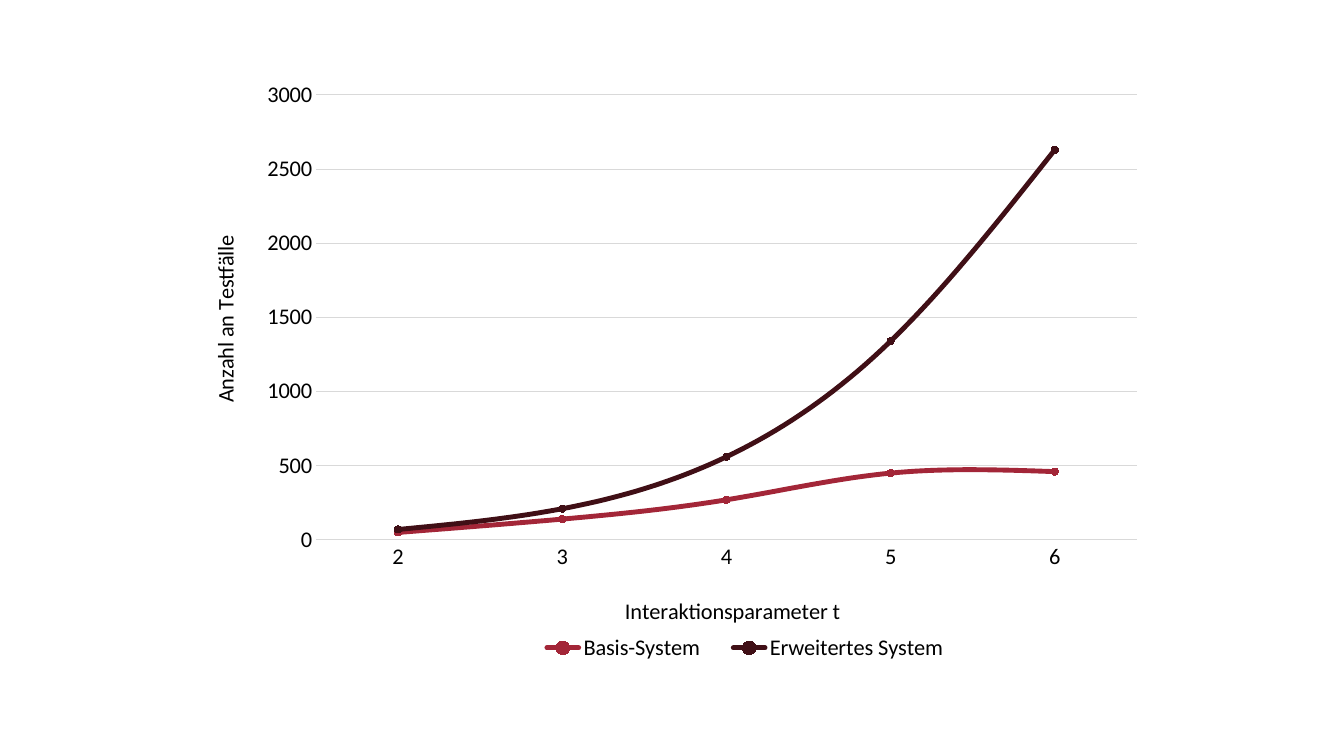
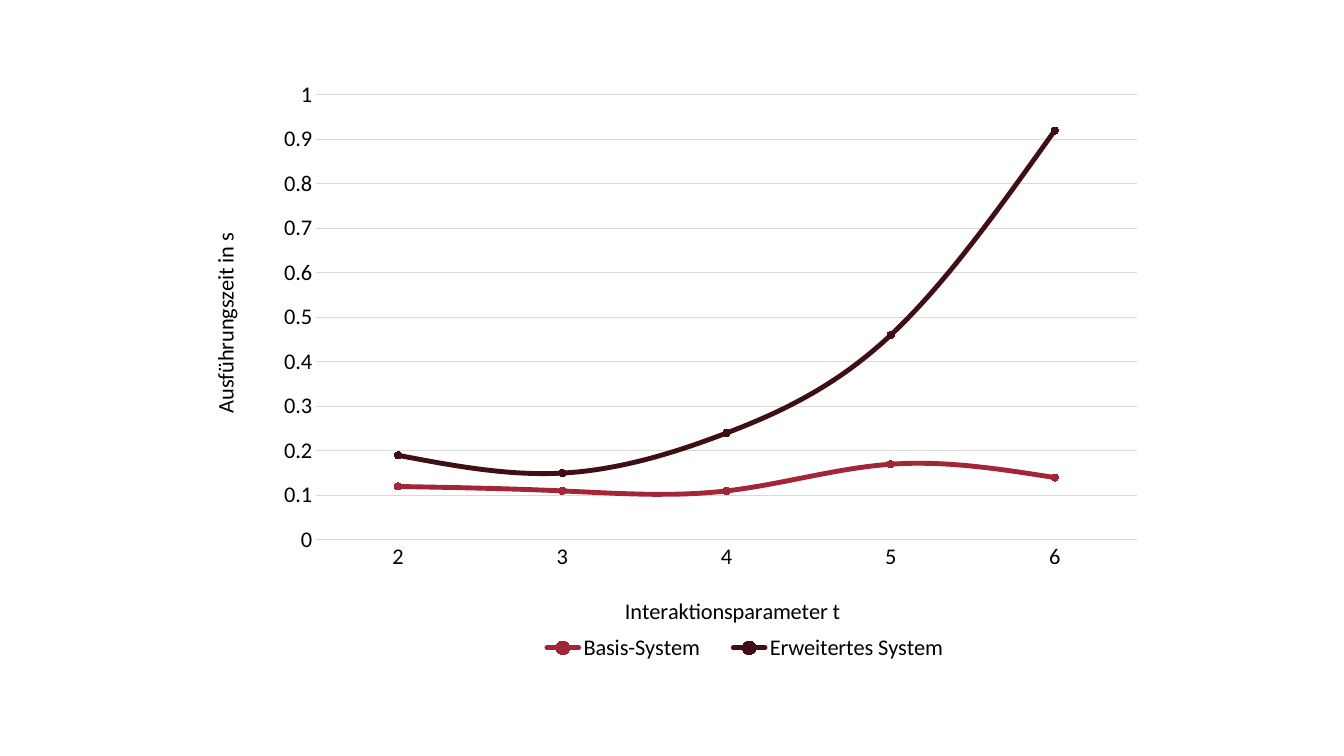
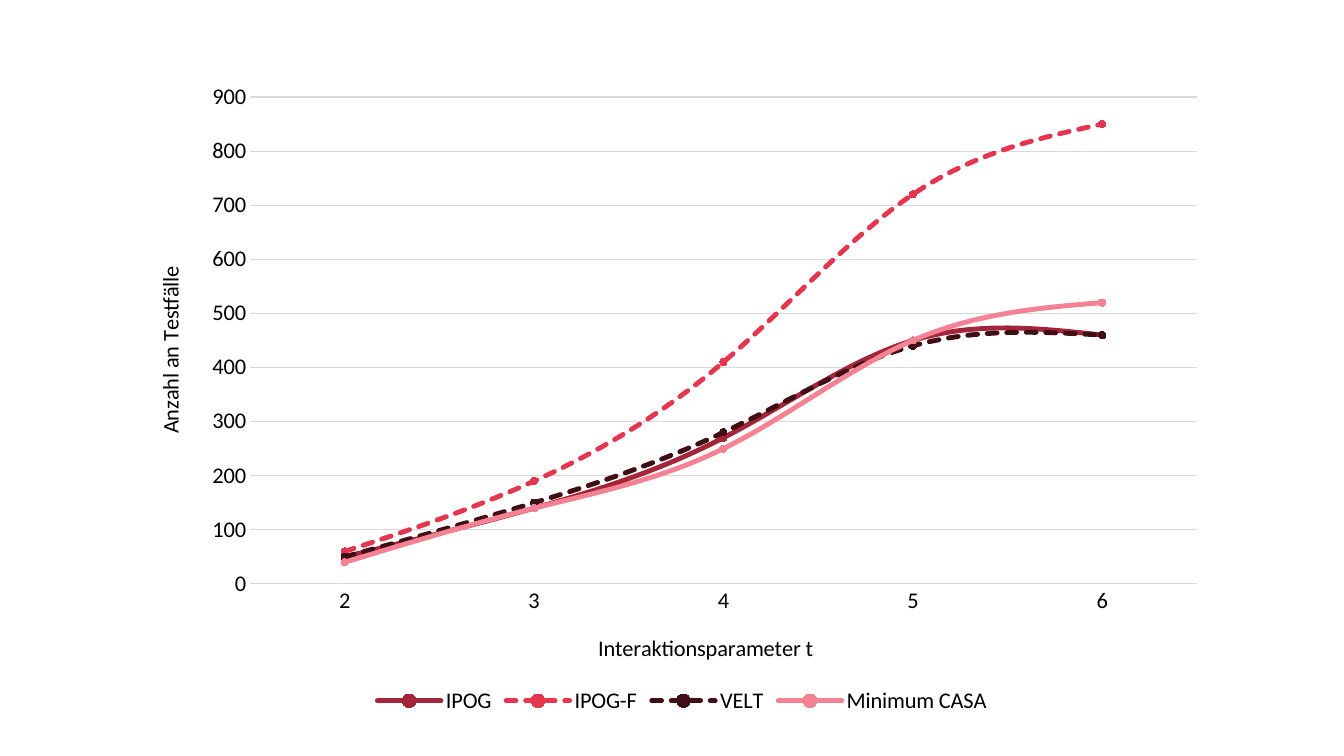
from lxml import etree
from pptx import Presentation
from pptx.chart.data import CategoryChartData
from pptx.dml.color import RGBColor
from pptx.enum.chart import XL_CHART_TYPE as ChartType
from pptx.enum.chart import XL_LEGEND_POSITION as LegendPosition
from pptx.enum.chart import XL_MARKER_STYLE as MarkerStyle
from pptx.enum.chart import XL_TICK_MARK as TickMark
from pptx.enum.dml import MSO_LINE as LineDash
from pptx.oxml.ns import qn
from pptx.util import Pt

EMU_PER_PIXEL = 914400 / 100.8
BLACK = RGBColor(0x00, 0x00, 0x00)
GRID_GREY = RGBColor(0xD9, 0xD9, 0xD9)
CRIMSON = RGBColor(0xA3, 0x26, 0x38)
MAROON = RGBColor(0x40, 0x0F, 0x16)
RED = RGBColor(0xE6, 0x35, 0x4F)
PINK = RGBColor(0xF4, 0x82, 0x93)


def set_font(font):
    """Apply the text style that all chart parts share."""
    font.name = "Calibri"
    font.size = Pt(16)
    font.bold = False
    font.color.rgb = BLACK


def set_layout(parent, index, chart_frame, box, target=None):
    """Place a chart part at a pixel box (left, top and, if given, width, height)."""
    for old_layout in parent.findall(qn("c:layout")):
        parent.remove(old_layout)
    layout = etree.Element(qn("c:layout"))
    parent.insert(index, layout)
    manual = etree.SubElement(layout, qn("c:manualLayout"))
    left, top, width, height = chart_frame
    settings = [("layoutTarget", target)] if target else []
    settings += [("xMode", "edge"), ("yMode", "edge")]
    fractions = ((box[0] - left) / width, (box[1] - top) / height,
                 *(length / total for length, total in zip(box[2:], (width, height))))
    settings += [(tag, f"{value:.4f}") for tag, value in zip("xywh", fractions)]
    for tag, value in settings:
        etree.SubElement(manual, qn(f"c:{tag}")).set("val", value)


SYSTEMS_LAYOUT = {
    "frame": (192, 72, 962, 612),
    "plot": (316, 95, 821, 445),
    "category_title": (621, 592),
    "legend": (521, 630, 448, 36),
}
charts = [
    {
        **SYSTEMS_LAYOUT,
        "value_title": ("Anzahl an Testfälle", (206, 231)),
        "scale": (3000, 500),
        "series": [
            ("Basis-System", (50, 140, 270, 450, 460), CRIMSON, None),
            ("Erweitertes System", (70, 210, 560, 1340, 2630), MAROON, None),
        ],
    },
    {
        **SYSTEMS_LAYOUT,
        "value_title": ("Ausführungszeit in s", (206, 229)),
        "scale": (1, 0.1),
        "series": [
            ("Basis-System", (0.12, 0.11, 0.11, 0.17, 0.14), CRIMSON, None),
            ("Erweitertes System", (0.19, 0.15, 0.24, 0.46, 0.92), MAROON, None),
        ],
    },
    {
        "frame": (149, 77, 1066, 642),
        "plot": (250, 97, 947, 487),
        "category_title": (594, 629),
        "legend": None,
        "value_title": ("Anzahl an Testfälle", (151, 262)),
        "scale": (900, 100),
        "series": [
            ("IPOG", (50, 140, 270, 450, 460), CRIMSON, None),
            ("IPOG-F", (60, 190, 410, 720, 850), RED, LineDash.SQUARE_DOT),
            ("VELT", (50, 150, 280, 440, 460), MAROON, LineDash.SQUARE_DOT),
            ("Minimum CASA", (40, 140, 250, 450, 520), PINK, None),
        ],
    },
]

presentation = Presentation()
presentation.slide_width = round(1344 * EMU_PER_PIXEL)
presentation.slide_height = round(756 * EMU_PER_PIXEL)
blank_layout = presentation.slide_layouts[6]

for details in charts:
    slide = presentation.slides.add_slide(blank_layout)
    frame = details["frame"]
    chart_data = CategoryChartData()
    chart_data.categories = ["2", "3", "4", "5", "6"]
    for name, values, _, _ in details["series"]:
        chart_data.add_series(name, values)
    chart = slide.shapes.add_chart(
        ChartType.LINE_MARKERS,
        *(round(length * EMU_PER_PIXEL) for length in frame), chart_data).chart
    set_font(chart.font)
    chart.has_title = False
    chart.has_legend = True
    chart.legend.position = LegendPosition.BOTTOM
    chart.legend.include_in_layout = False
    set_font(chart.legend.font)
    if details["legend"]:
        set_layout(chart.legend._element, 1, frame, details["legend"])

    category_axis, value_axis = chart.category_axis, chart.value_axis
    value_text, value_place = details["value_title"]
    for axis, text, place, rotation in (
            (category_axis, "Interaktionsparameter t", details["category_title"], 0),
            (value_axis, value_text, value_place, -5400000)):
        axis.major_tick_mark = TickMark.NONE
        axis.minor_tick_mark = TickMark.NONE
        set_font(axis.tick_labels.font)
        text_frame = axis.axis_title.text_frame
        text_frame.text = text
        set_font(text_frame.paragraphs[0].font)
        title = axis.axis_title._element
        title.find(".//" + qn("a:bodyPr")).set("rot", str(rotation))
        set_layout(title, 1, frame, place)

    category_axis.has_major_gridlines = False
    value_axis.has_major_gridlines = True
    for line in (category_axis.format.line, value_axis.major_gridlines.format.line):
        line.color.rgb = GRID_GREY
        line.width = Pt(0.75)
    value_axis.format.line.fill.background()
    value_axis.minimum_scale = 0
    value_axis.maximum_scale, value_axis.major_unit = details["scale"]
    value_axis.tick_labels.number_format = "General"
    value_axis.tick_labels.number_format_is_linked = False

    plot = chart.plots[0]
    plot.vary_by_categories = False
    for series, (_, _, color, dash) in zip(plot.series, details["series"]):
        series.smooth = True
        series.format.line.color.rgb = color
        series.format.line.width = Pt(3.5)
        if dash:
            series.format.line.dash_style = dash
        series._element.find(qn("c:spPr")).find(qn("a:ln")).set("cap", "rnd")
        marker = series.marker
        marker.style = MarkerStyle.CIRCLE
        marker.size = 5
        marker.format.fill.solid()
        marker.format.fill.fore_color.rgb = color
        marker.format.line.color.rgb = color

    plot_area = chart._chartSpace.find(".//" + qn("c:plotArea"))
    set_layout(plot_area, 0, frame, details["plot"], "inner")

presentation.save("out.pptx")
